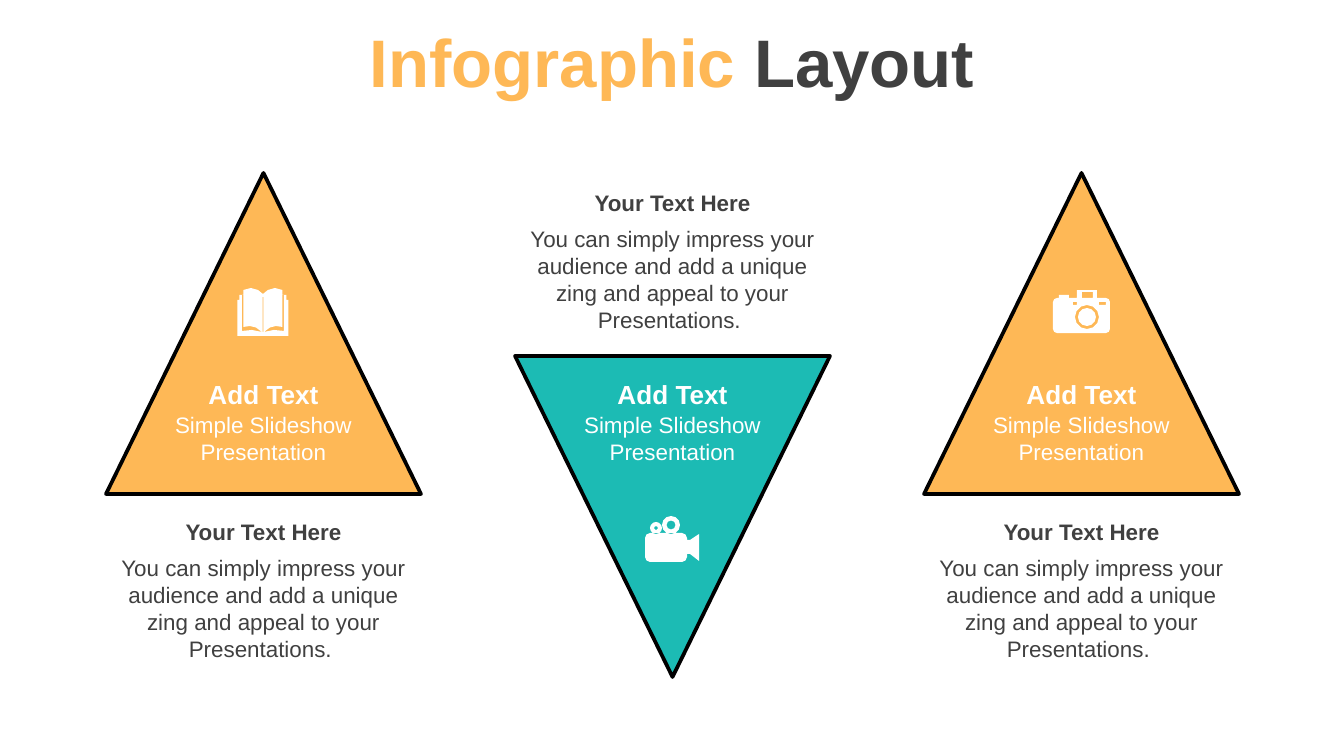
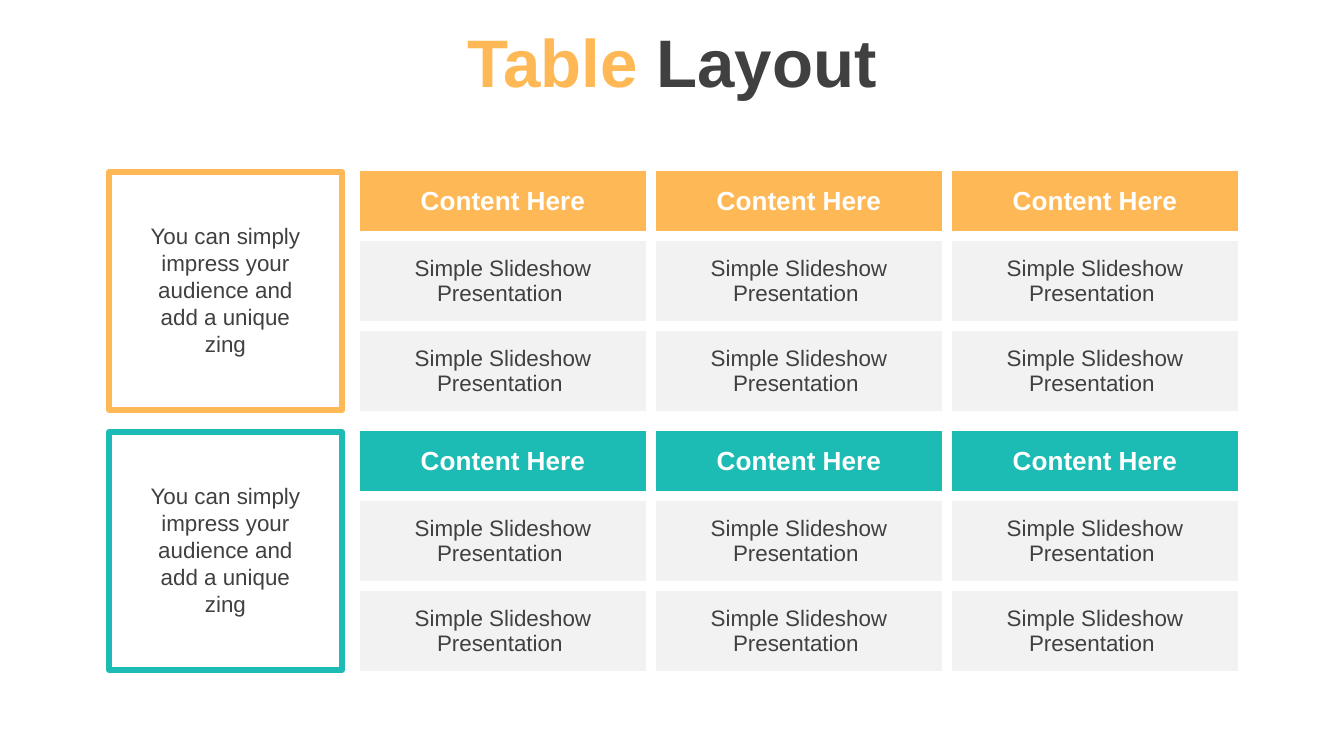
import math

from lxml import etree
from pptx import Presentation
from pptx import util as u
from pptx.dml.color import RGBColor
from pptx.enum import shapes, text
from pptx.oxml.ns import qn

PX = 914400 / 134.4  # EMU in one px
FONT = "Arial"
COLORS = {
    "orange": "FEB856",
    "teal": "1CBBB4",
    "dark": "404040",
    "white": "FFFFFF",
    "black": "000000",
    "grey": "F2F2F2",
}

# Content
CAPTION = ("Your Text Here",
           "You can simply impress your audience and add a unique zing "
           "and appeal to your Presentations. ")
LABEL = ("Add Text", "Simple Slideshow Presentation")
TRIANGLES = [  # colour, top, rotation, caption top, icon
    ("orange", 173, 0, 512, "book"),
    ("teal", 356, 180, 183, "film"),
    ("orange", 173, 0, 512, "photo"),
]
TABLE_ROWS = [["Content Here"] * 3] + [["Simple Slideshow Presentation "] * 3] * 2
TABLE_NOTE = "You can simply impress your audience and add a unique zing"
TABLE_COLORS = ["orange", "teal"]

# Layout
TRIANGLE_LEFT, TRIANGLE_STEP, TRIANGLE_W, TRIANGLE_H = 106, 409, 315, 321
TABLE_TOP, TABLE_STEP = 166, 260
COLUMN_W, ROW_HEIGHTS = 296, (70, 90, 90)
CELL_BORDER_PT = 6


def px(*lengths):
    return [u.Emu(round(length * PX)) for length in lengths]


def rgb(color):
    return RGBColor.from_string(COLORS[color])


def write(paragraph, words, size, color, bold=False):
    paragraph.alignment = text.PP_ALIGN.CENTER
    run = paragraph.add_run()
    run.text = words
    font = run.font
    font.name, font.size, font.bold = FONT, u.Pt(size), bold
    font.color.rgb = rgb(color)


def add_text(slide, box, words, size, color, bold=False):
    frame = slide.shapes.add_textbox(*px(*box)).text_frame
    frame.word_wrap = True
    frame.auto_size = text.MSO_AUTO_SIZE.SHAPE_TO_FIT_TEXT
    write(frame.paragraphs[0], words, size, color, bold)


def paint(shape, fill, line=None, width=0):
    shape.shadow.inherit = False
    shape.fill.solid()
    shape.fill.fore_color.rgb = rgb(fill)
    if line:
        shape.line.color.rgb = rgb(line)
        shape.line.width = u.Pt(width)
    else:
        shape.line.fill.background()


def add_titled_slide(deck, accent, rest):
    slide = deck.slides.add_slide(deck.slide_layouts[5])
    title = slide.shapes.title
    title.left, title.top, title.width, title.height = px(0, 4, 1344, 114)
    frame = title.text_frame
    frame.auto_size = text.MSO_AUTO_SIZE.NONE
    frame.vertical_anchor = text.MSO_ANCHOR.MIDDLE
    write(frame.paragraphs[0], accent + " ", 36, "orange", True)
    write(frame.paragraphs[0], rest, 36, "dark", True)
    return slide


# Icon outlines, in px on the slide; inner outlines become holes
def circle(x, y, radius, steps=12):
    angles = [math.tau * i / steps for i in range(steps)]
    return [(x + radius * math.cos(a), y + radius * math.sin(a)) for a in angles]


def rect(left, top, right, bottom):
    return [(left, top), (right, top), (right, bottom), (left, bottom)]


def round_rect(left, top, right, bottom, cut):
    near = cut * 0.3  # corner drawn with three points
    return [(left, top + cut), (left + near, top + near), (left + cut, top),
            (right - cut, top), (right - near, top + near), (right, top + cut),
            (right, bottom - cut), (right - near, bottom - near), (right - cut, bottom),
            (left + cut, bottom), (left + near, bottom - near), (left, bottom - cut)]


def mirror(points, axis=263):
    return [(2 * axis - x, y) for x, y in reversed(points)]


BOOK_COVER = [(237.5, 336), (237.5, 300), (239.5, 300), (239.5, 295), (243.5, 295),
              (243.5, 290), (251, 288), (258, 290), (263, 294)]
BOOK_PAGE_GAP = [(242, 295), (243.5, 295), (243.5, 327), (250, 326), (256, 327.5),
                 (262, 332), (252, 330), (242, 331)]
ICONS = {
    "book": [BOOK_COVER + mirror(BOOK_COVER), BOOK_PAGE_GAP,
             mirror(BOOK_PAGE_GAP), rect(262.6, 297, 263.4, 332)],
    "film": [round_rect(645, 533, 687, 562, 5),
             [(687, 540), (690, 540), (699, 534), (699, 561), (690, 554), (687, 554)],
             circle(671, 525, 9), circle(671, 525, 4.5, 8),
             circle(656, 528, 6), circle(656, 528, 2, 6)],
    "photo": [round_rect(1053, 298, 1110, 333, 4),
              rect(1077, 290, 1097, 298), rect(1082, 292, 1093, 298),
              rect(1059, 295, 1069, 298),
              circle(1087, 317, 12), circle(1087, 317, 9),
              rect(1073, 302, 1077, 305), rect(1099, 302, 1106, 305)],
}


def add_icon(slide, outlines):
    fine = 10  # drawing units in one px
    scaled = [[(x * fine, y * fine) for x, y in points] for points in outlines]
    builder = slide.shapes.build_freeform(*scaled[0][0], scale=PX / fine)
    for i, points in enumerate(scaled):
        if i:
            builder.move_to(*points[0])
        builder.add_line_segments(points[1:], close=True)
    paint(builder.convert_to_shape(), "white")


def build_infographic(deck):
    slide = add_titled_slide(deck, "Infographic", "Layout")
    for i, (color, top, rotation, caption_top, icon) in enumerate(TRIANGLES):
        left = TRIANGLE_LEFT + i * TRIANGLE_STEP
        triangle = slide.shapes.add_shape(
            shapes.MSO_SHAPE.ISOSCELES_TRIANGLE,
            *px(left, top, TRIANGLE_W, TRIANGLE_H))
        triangle.rotation = rotation
        paint(triangle, color, "black", 2)

        heading, body = CAPTION
        add_text(slide, (left, caption_top + 36, TRIANGLE_W, 122), body, 12, "dark")
        add_text(slide, (left, caption_top, TRIANGLE_W, 40), heading, 12, "dark", True)
        add_icon(slide, ICONS[icon])

        heading, body = LABEL
        add_text(slide, (left + 31, 372, 253, 46), heading, 14, "white", True)
        add_text(slide, (left + 31, 405, 253, 67), body, 12, "white")


def set_borders(cell):
    properties = cell._tc.get_or_add_tcPr()
    for position, side in enumerate(("lnL", "lnR", "lnT", "lnB")):
        line = etree.Element(qn("a:" + side), w=str(u.Pt(CELL_BORDER_PT)))
        fill = etree.SubElement(line, qn("a:solidFill"))
        etree.SubElement(fill, qn("a:srgbClr"), val=COLORS["white"])
        properties.insert(position, line)


def add_content_table(slide, top, color):
    table = slide.shapes.add_table(
        len(TABLE_ROWS), len(TABLE_ROWS[0]),
        *px(355, top, COLUMN_W * len(TABLE_ROWS[0]), sum(ROW_HEIGHTS))).table
    table.first_row = table.horz_banding = False
    for column in table.columns:
        column.width = px(COLUMN_W)[0]
    for r, (row, height) in enumerate(zip(TABLE_ROWS, ROW_HEIGHTS)):
        table.rows[r].height = px(height)[0]
        style = (12, "dark") if r else (14, "white", True)
        for c, words in enumerate(row):
            cell = table.cell(r, c)
            cell.vertical_anchor = text.MSO_ANCHOR.MIDDLE
            cell.fill.solid()
            cell.fill.fore_color.rgb = rgb("grey" if r else color)
            set_borders(cell)
            write(cell.text_frame.paragraphs[0], words, *style)


def build_tables(deck):
    slide = add_titled_slide(deck, "Table", "Layout")
    for i, color in enumerate(TABLE_COLORS):
        top = TABLE_TOP + i * TABLE_STEP
        add_content_table(slide, top, color)
        note_frame = slide.shapes.add_shape(
            shapes.MSO_SHAPE.RECTANGLE, *px(109, top + 6, 233, 238))
        paint(note_frame, "white", color, 3)
        add_text(slide, (130, top + 50, 191, 149), TABLE_NOTE, 12, "dark")


def main():
    deck = Presentation()
    deck.slide_width, deck.slide_height = px(1344, 756)
    build_infographic(deck)
    build_tables(deck)
    deck.save("out.pptx")


if __name__ == "__main__":
    main()
